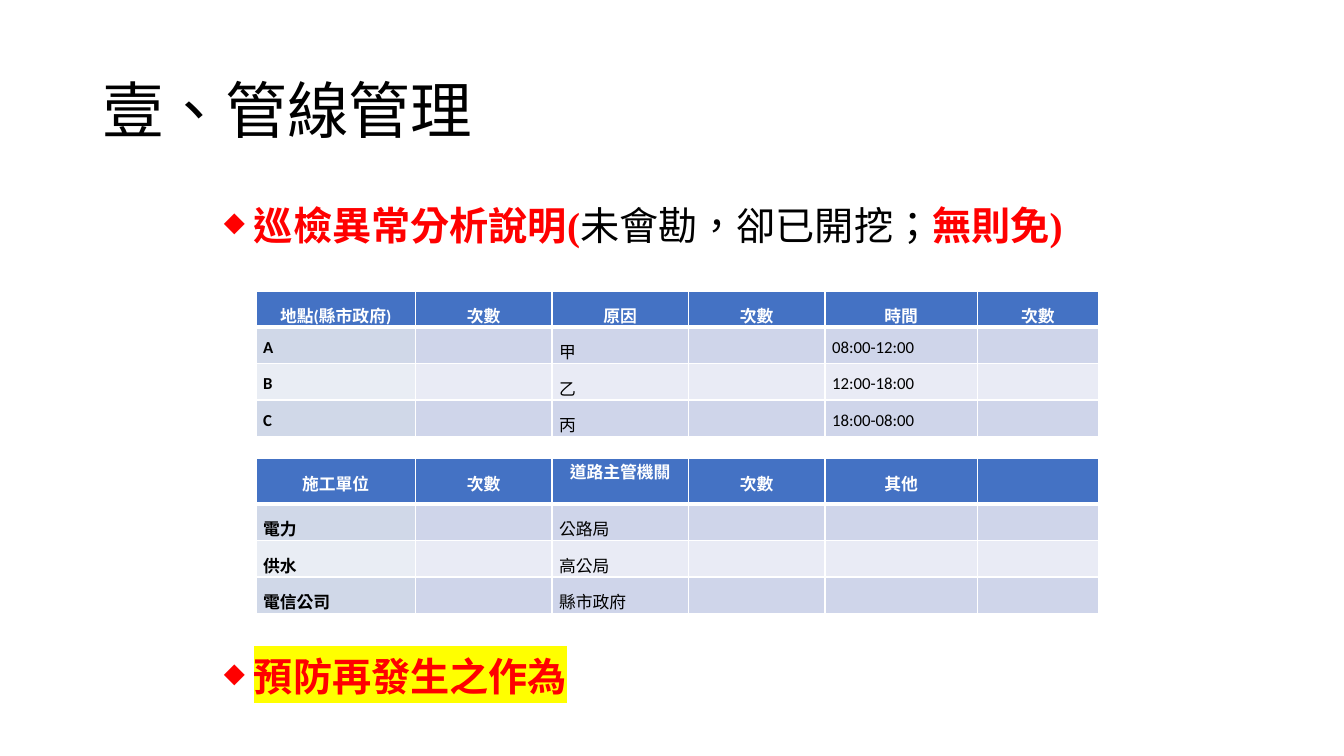
from dataclasses import dataclass

import pptx
import pptx.dml.color
import pptx.enum.lang
import pptx.enum.text
import pptx.oxml
import pptx.oxml.ns
import pptx.slide
import pptx.table
import pptx.text.text
import pptx.util
from lxml import etree

Cm = pptx.util.Cm
Pt = pptx.util.Pt
RGBColor = pptx.dml.color.RGBColor
qn = pptx.oxml.ns.qn

BLACK = RGBColor(0x00, 0x00, 0x00)
WHITE = RGBColor(0xFF, 0xFF, 0xFF)
RED = RGBColor(0xFF, 0x00, 0x00)
YELLOW = RGBColor(0xFF, 0xFF, 0x00)
BLUE = RGBColor(0x44, 0x72, 0xC4)
DARK = RGBColor(0xCF, 0xD5, 0xEA)
LIGHT = RGBColor(0xE9, 0xEB, 0xF5)
DARK_KEY = RGBColor(0xD0, 0xD8, 0xE8)
LIGHT_KEY = RGBColor(0xE9, 0xED, 0xF4)

SERIF = "Times New Roman"
SANS = "Calibri"
TONGUE = pptx.enum.lang.MSO_LANGUAGE_ID(1028)
WIDTHS = (4.02, 3.44, 3.44, 3.44, 3.84, 3.05)
ROW = 0.92


@dataclass(frozen=True)
class Piece:
    text: str
    color: RGBColor = RED
    bold: bool = True
    marked: bool = False


@dataclass(frozen=True)
class Item:
    pieces: tuple[Piece, ...]
    before: float


@dataclass(frozen=True)
class Grid:
    top: float
    head: float
    cells: tuple[tuple[str, ...], ...]
    tight: str = ""


ITEMS = (
    Item((
        Piece("巡檢異常分析說明("),
        Piece("未會勘，卻已開挖；", BLACK, False),
        Piece("無則免)"),
    ), 0),
    Item((Piece("預防再發生之作為", marked=True),), 292),
)

GRIDS = (
    Grid(7.34, 0.9, (
        ("地點(縣市政府)", "次數", "原因", "次數", "時間", "次數"),
        ("A", "", "甲", "", "08:00-12:00", ""),
        ("B", "", "乙", "", "12:00-18:00", ""),
        ("C", "", "丙", "", "18:00-08:00", ""),
    )),
    Grid(11.56, 1.14, (
        ("施工單位", "次數", "道路主管機關", "次數", "其他", ""),
        ("電力", "", "公路局", "", "", ""),
        ("供水", "", "高公局", "", "", ""),
        ("電信公司", "", "縣市政府", "", "", ""),
    ), "道路主管機關"),
)


def style(run: pptx.text.text._Run, face: str, size: float,
          color: RGBColor, bold: bool) -> None:
    run.font.name = face
    run.font.size = Pt(size)
    run.font.bold = bold
    run.font.color.rgb = color
    run.font.language_id = TONGUE


def add_box(slide: pptx.slide.Slide, left: float, top: float,
            width: float, height: float) -> pptx.text.text.TextFrame:
    frame = slide.shapes.add_textbox(
        Cm(left), Cm(top), Cm(width), Cm(height)).text_frame
    frame.word_wrap = True
    return frame


def add_title(slide: pptx.slide.Slide, text: str) -> None:
    frame = add_box(slide, 2.33, 1.01, 29.21, 3.68)
    frame.vertical_anchor = pptx.enum.text.MSO_ANCHOR.MIDDLE
    frame.text = text
    line = frame.paragraphs[0]
    line.line_spacing = 0.9
    style(line.runs[0], SERIF, 44, BLACK, False)


def add_mark(run: pptx.text.text._Run) -> None:
    mark = etree.Element(qn("a:highlight"))
    etree.SubElement(mark, qn("a:srgbClr"), val=str(YELLOW))
    run.font.fill._xPr.find(qn("a:solidFill")).addnext(mark)


def add_bullet(line: pptx.text.text._Paragraph) -> None:
    props = line._p.get_or_add_pPr()
    props.set("marL", str(Cm(0.99)))
    props.set("indent", str(-Cm(0.76)))
    etree.SubElement(props, qn("a:buSzPct"), val="70000")
    etree.SubElement(props, qn("a:buChar"), char="◆")


def add_list(slide: pptx.slide.Slide, items: tuple[Item, ...]) -> None:
    frame = add_box(slide, 5.16, 5.08, 24.61, 12.95)
    for index, item in enumerate(items):
        line = frame.add_paragraph() if index else frame.paragraphs[0]
        add_bullet(line)
        line.line_spacing = 0.9
        line.space_before = Pt(item.before)
        for piece in item.pieces:
            run = line.add_run()
            run.text = piece.text
            style(run, SERIF, 28, piece.color, piece.bold)
            if piece.marked:
                add_mark(run)


def add_edges(cell: pptx.table._Cell, base: float) -> None:
    props = cell._tc.get_or_add_tcPr()
    sides = (("L", 1), ("R", 1), ("T", 1), ("B", base))
    for index, (side, width) in enumerate(sides):
        edge = etree.Element(qn(f"a:ln{side}"), w=str(Pt(width)))
        fill = etree.SubElement(edge, qn("a:solidFill"))
        etree.SubElement(fill, qn("a:srgbClr"), val=str(WHITE))
        props.insert(index, edge)


def cell_fill(row: int, col: int) -> RGBColor:
    if row == 0:
        return BLUE
    if row % 2:
        return DARK if col else DARK_KEY
    return LIGHT if col else LIGHT_KEY


def fill_cell(cell: pptx.table._Cell, text: str, row: int, col: int,
              tight: bool) -> None:
    head = row == 0
    cell.margin_left = cell.margin_right = Cm(0.18)
    cell.margin_top = cell.margin_bottom = 0
    cell.fill.solid()
    cell.fill.fore_color.rgb = cell_fill(row, col)
    add_edges(cell, 3 if head else 1)
    if not text:
        return
    cell.text_frame.text = text
    line = cell.text_frame.paragraphs[0]
    line.line_spacing = 1.0 if tight else 1.5
    if head:
        line.alignment = pptx.enum.text.PP_ALIGN.CENTER
    style(line.runs[0], SANS, 12, WHITE if head else BLACK,
          head or col == 0)


def add_grid(slide: pptx.slide.Slide, grid: Grid) -> None:
    count = len(grid.cells)
    height = grid.head + ROW * (count - 1)
    table = slide.shapes.add_table(
        count, len(WIDTHS), Cm(6.45), Cm(grid.top),
        Cm(sum(WIDTHS)), Cm(height)).table
    for col, width in enumerate(WIDTHS):
        table.columns[col].width = Cm(width)
    for row, texts in enumerate(grid.cells):
        table.rows[row].height = Cm(ROW if row else grid.head)
        for col, text in enumerate(texts):
            fill_cell(table.cell(row, col), text, row, col,
                      text == grid.tight)


def main() -> None:
    deck = pptx.Presentation()
    deck.slide_width = Cm(33.87)
    deck.slide_height = Cm(19.05)
    slide = deck.slides.add_slide(deck.slide_layouts[6])
    add_title(slide, "壹、管線管理")
    add_list(slide, ITEMS)
    for grid in GRIDS:
        add_grid(slide, grid)
    deck.save("out.pptx")


if __name__ == "__main__":
    main()
